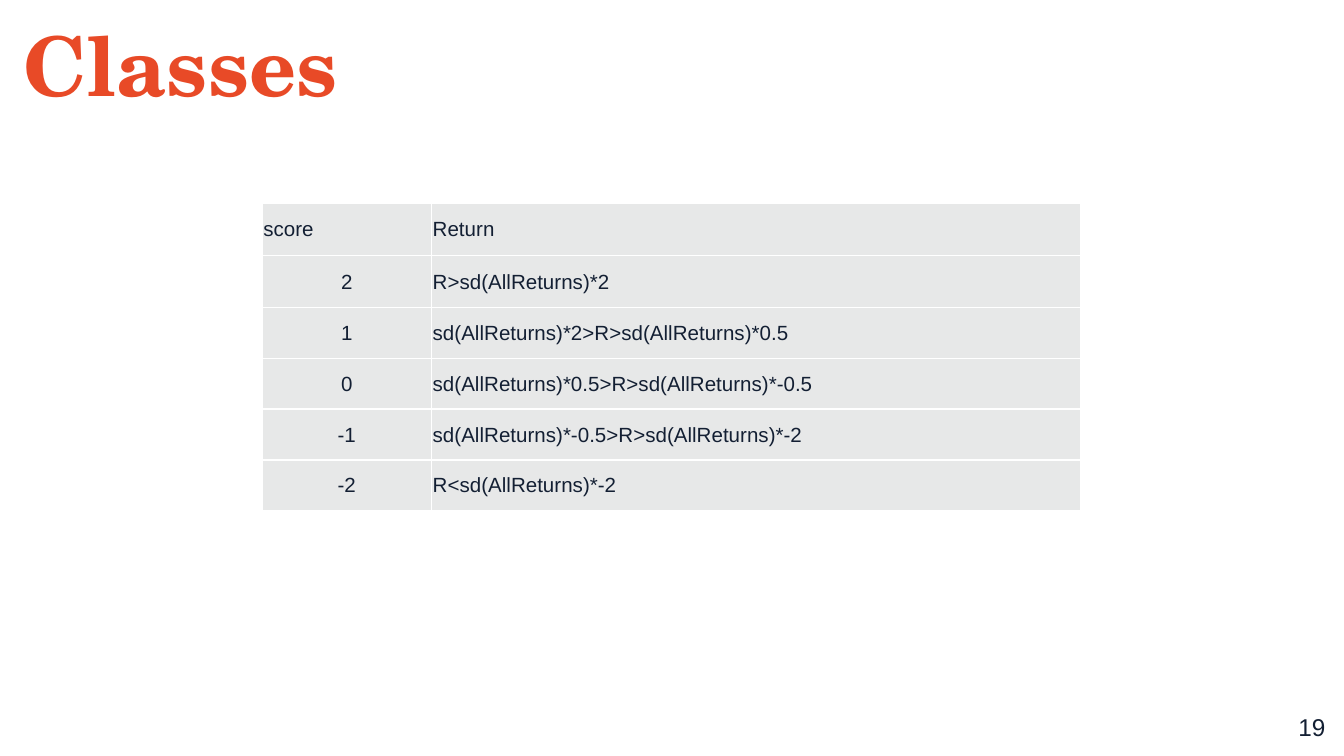
from lxml import etree
from pptx import Presentation, util as u
from pptx.dml.color import RGBColor
from pptx.enum import text
from pptx.oxml import ns

WIDTH = u.Inches(10)
HEIGHT = WIDTH * 9 // 16
ORANGE = RGBColor(0xE8, 0x4A, 0x27)
NAVY = RGBColor(0x13, 0x1F, 0x33)
GREY = RGBColor(0xE7, 0xE8, 0xE8)
WHITE = RGBColor(0xFF, 0xFF, 0xFF)

SCORES = [
    ("score", "Return"),
    ("2", "R>sd(AllReturns)*2"),
    ("1", "sd(AllReturns)*2>R>sd(AllReturns)*0.5"),
    ("0", "sd(AllReturns)*0.5>R>sd(AllReturns)*-0.5"),
    ("-1", "sd(AllReturns)*-0.5>R>sd(AllReturns)*-2"),
    ("-2", "R<sd(AllReturns)*-2"),
]
TABLE_HEIGHT = 2.29
TALL_ROW = 0.39
COLUMN_WIDTHS = [1.26, 4.83]
ROW_HEIGHTS = [TALL_ROW] * 2 + [(TABLE_HEIGHT - 2 * TALL_ROW) / 4] * 4


def write(frame, words, size=11, font="Arial", color=NAVY, bold=False,
          align=text.PP_ALIGN.LEFT):
    """Put one formatted paragraph in a text frame."""
    paragraph = frame.paragraphs[0]
    paragraph.alignment = align
    run = paragraph.add_run()
    run.text = words
    run.font.size = u.Pt(size)
    run.font.name = font
    run.font.bold = bold
    run.font.color.rgb = color


def add_label(slide, words, left, top, width, height, margin=0.05,
              anchor=text.MSO_ANCHOR.TOP, **style):
    """Add a wrapped text box placed in inches."""
    box = slide.shapes.add_textbox(*map(u.Inches, (left, top, width, height)))
    frame = box.text_frame
    frame.word_wrap = True
    frame.vertical_anchor = anchor
    frame.margin_top = frame.margin_bottom = u.Inches(margin)
    write(frame, words, **style)


def add_borders(cell, color=WHITE, points=1):
    """Draw the four edges of a table cell ahead of its fill."""
    properties = cell._tc.get_or_add_tcPr()
    for position, edge in enumerate(("a:lnL", "a:lnR", "a:lnT", "a:lnB")):
        line = etree.Element(ns.qn(edge), w=str(u.Pt(points)))
        fill = etree.SubElement(line, ns.qn("a:solidFill"))
        etree.SubElement(fill, ns.qn("a:srgbClr"), val=str(color))
        properties.insert(position, line)


def add_score_table(slide, left, top):
    """Add the table that maps each score to its range of returns."""
    frame = slide.shapes.add_table(
        len(SCORES), len(COLUMN_WIDTHS), u.Inches(left), u.Inches(top),
        u.Inches(sum(COLUMN_WIDTHS)), u.Inches(TABLE_HEIGHT))
    table = frame.table
    table.first_row = table.horz_banding = False
    for column, width in zip(table.columns, COLUMN_WIDTHS):
        column.width = u.Inches(width)
    for row, height in zip(table.rows, ROW_HEIGHTS):
        row.height = u.Inches(height)
    for r, entries in enumerate(SCORES):
        for c, words in enumerate(entries):
            cell = table.cell(r, c)
            cell.fill.solid()
            cell.fill.fore_color.rgb = GREY
            cell.vertical_anchor = text.MSO_ANCHOR.MIDDLE
            cell.margin_left = cell.margin_right = cell.margin_top = u.Inches(0.01)
            cell.margin_bottom = 0
            add_borders(cell)
            is_score = r > 0 and c == 0
            write(cell.text_frame, words,
                  align=text.PP_ALIGN.CENTER if is_score else text.PP_ALIGN.LEFT)


def main():
    """Build the slide and save it."""
    deck = Presentation()
    deck.slide_width, deck.slide_height = WIDTH, HEIGHT
    slide = deck.slides.add_slide(deck.slide_layouts[6])
    add_label(slide, "19", 9.36, 5.19, 0.6, 0.43, margin=0.1, size=13,
              anchor=text.MSO_ANCHOR.MIDDLE, align=text.PP_ALIGN.RIGHT)
    add_label(slide, "Classes", 0.08, 0.06, 9.08, 0.94, size=44,
              font="TeX Gyre Schola", color=ORANGE, bold=True)
    add_score_table(slide, 1.95, 1.51)
    deck.save("out.pptx")


if __name__ == "__main__":
    main()
